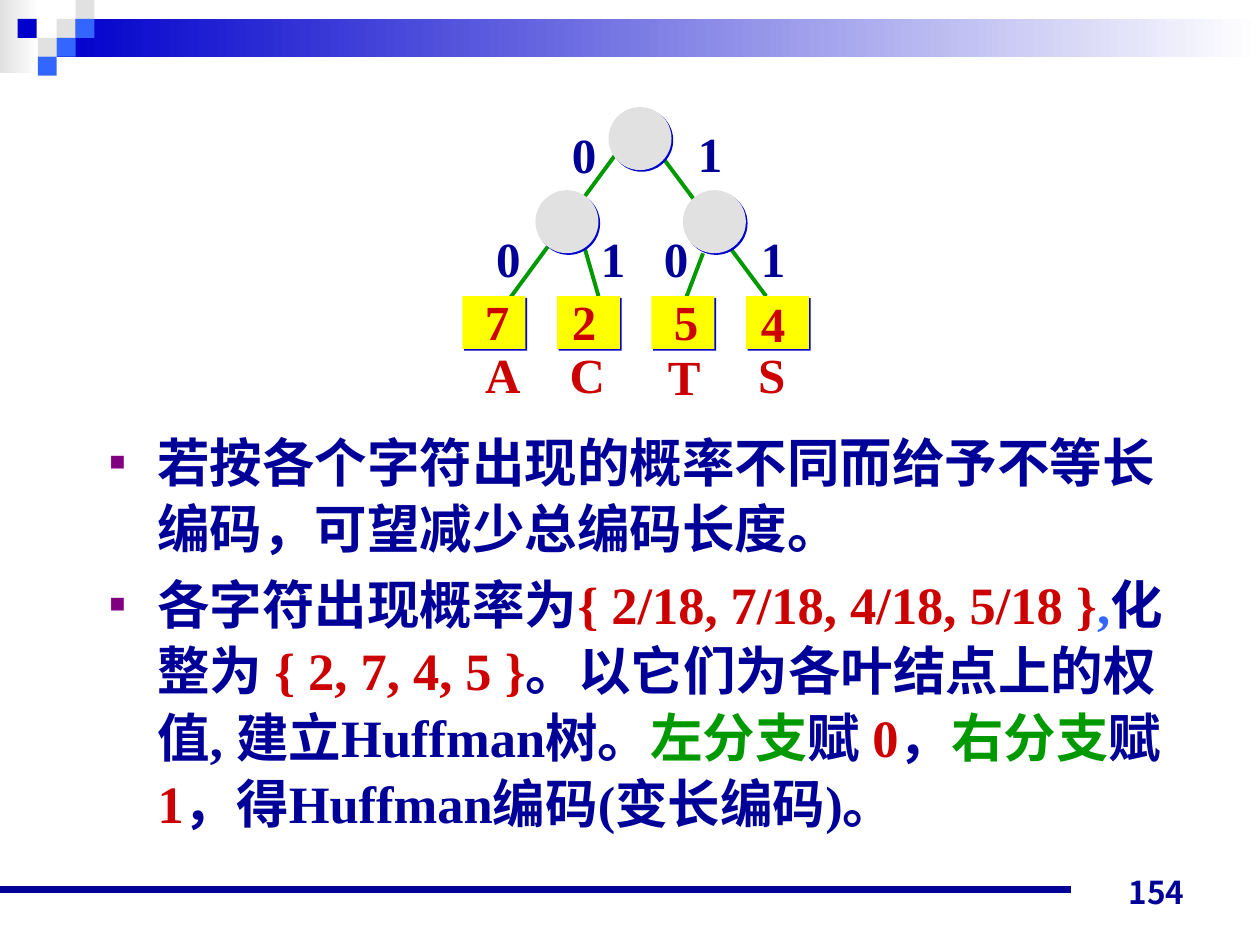
from lxml import etree
from pptx import Presentation
from pptx.dml.color import RGBColor
from pptx.enum.shapes import MSO_CONNECTOR, MSO_SHAPE
from pptx.enum.text import MSO_ANCHOR, MSO_AUTO_SIZE, PP_ALIGN
from pptx.oxml.ns import qn
from pptx.util import Pt

PX = 9144  # 100 px to the inch
RECT, OVAL = MSO_SHAPE.RECTANGLE, MSO_SHAPE.OVAL
LINE = MSO_CONNECTOR.STRAIGHT
MID, LOW, TOP = MSO_ANCHOR.MIDDLE, MSO_ANCHOR.BOTTOM, MSO_ANCHOR.TOP
MIDST, RIGHT = PP_ALIGN.CENTER, PP_ALIGN.RIGHT
FIXED = MSO_AUTO_SIZE.NONE
SERIF, SANS = "Times New Roman", "Noto Sans CJK JP"
HUES = {
    "navy": "000099", "blue": "0000CC", "sky": "3366FF", "gray": "E1E1E1",
    "white": "FFFFFF", "green": "009900", "red": "CC0000",
    "gold": "FFFF00", "plum": "800080",
}


def hue(name):
    return RGBColor.from_string(HUES[name])


def apply(obj, form):
    for key, value in form.items():
        setattr(obj, key, value)


def child(node, tag, **attrs):
    return etree.SubElement(node, qn("a:" + tag), attrs)


class Deck:
    """Holds the text style and the current slide."""

    def __init__(self, prs, font=SERIF, ink="navy"):
        self.font, self.ink = font, ink
        self.slide = prs.slides.add_slide(prs.slide_layouts[1])
        self.shapes = self.slide.shapes
        title = self.shapes.title.element
        title.getparent().remove(title)

    def run(self, par, text, size, ink=None, font=None):
        run = par.add_run()
        run.text = text
        apply(run.font, {"size": Pt(size), "bold": True, "name": font or self.font})
        run.font.color.rgb = hue(ink or self.ink)
        child(run.font._element, "ea", typeface=SANS)

    def block(self, kind, box, fill, drop=False):
        """Add a plain shape; a pair of colours makes a gradient."""
        shape = self.shapes.add_shape(kind, *(n * PX for n in box))
        shape.line.fill.background()
        shape.shadow.inherit = False
        if isinstance(fill, tuple):
            shape.fill.gradient()
            shape.fill.gradient_angle = 0
            for stop, spot, name in zip(shape.fill.gradient_stops, (0, 1), fill):
                stop.position = spot
                stop.color.rgb = hue(name)
        else:
            shape.fill.solid()
            shape.fill.fore_color.rgb = hue(fill)
        if drop:
            glow = child(shape._element.spPr.find(qn("a:effectLst")), "outerShdw",
                         blurRad="0", dist="17780", dir="2700000", algn="ctr", rotWithShape="0")
            child(glow, "srgbClr", val=HUES["blue"])

    def line(self, ends, ink, width):
        line = self.shapes.add_connector(LINE, *(n * PX for n in ends))
        line.line.color.rgb = hue(ink)
        line.line.width = Pt(width)
        child(line._element.spPr, "effectLst")

    def label(self, box, text, size=28, ink=None, font=None, side=MIDST, anchor=MID):
        frame = self.shapes.add_textbox(*(n * PX for n in box)).text_frame
        apply(frame, {"word_wrap": False, "auto_size": FIXED, "vertical_anchor": anchor})
        par = frame.paragraphs[0]
        par.alignment = side
        self.run(par, text, size, ink, font)

    def points(self, box, items, size):
        """Fill the body placeholder with square-bulleted items."""
        body = self.slide.placeholders[1]
        apply(body, dict(zip(("left", "top", "width", "height"), (n * PX for n in box))))
        frame = body.text_frame
        apply(frame, {"word_wrap": True, "auto_size": FIXED, "vertical_anchor": TOP})
        for i, parts in enumerate(items):
            par = frame.add_paragraph() if i else frame.paragraphs[0]
            apply(par, {"line_spacing": 1.05, "space_before": Pt(5.6)})
            props = par._p.get_or_add_pPr()
            props.set("marL", str(38 * PX))
            props.set("indent", str(-38 * PX))
            child(child(props, "buClr"), "srgbClr", val=HUES["plum"])
            child(props, "buSzPct", val="50000")
            child(props, "buFont", typeface=SERIF)
            child(props, "buChar", char="■")
            for text, ink in parts:
                self.run(par, text, size, ink)


BLOCKS = [  # corner squares of the header
    (45, 15, "gray"), (60, 0, "gray"), (60, 15, "sky"), (30, 30, "gray"),
    (14, 15, "blue"), (45, 30, "sky"), (30, 45, "sky"),
]
EDGES = [(558, 201, 542, 243), (508, 101, 608, 235), (458, 176, 475, 235), (492, 118, 400, 243)]
NODES = [(483, 85), (425, 151), (542, 151)]
LEAVES = [  # weight, its left and top; letter, its left, top and width
    ("7", 375, 226, "A", 375, 268, 48),
    ("2", 444, 226, "C", 442, 268, 48),
    ("5", 525, 226, "T", 520, 270, 46),
    ("4", 594, 228, "S", 592, 268, 41),
]
BITS = [("0", 444, 94), ("1", 544, 93), ("0", 384, 176), ("1", 467, 176),
        ("0", 517, 176), ("1", 594, 176)]
ITEMS = [
    [("若按各个字符出现的概率不同而给予不等长编码，可望减少总编码长度。", "navy")],
    [("各字符出现概率为", "navy"), ("{ 2/18, 7/18, 4/18, 5/18 }", "red"), (",", "sky"),
     ("化整为 ", "navy"), ("{ 2, 7, 4, 5 }", "red"),
     ("。以它们为各叶结点上的权值, 建立Huffman树。", "navy"),
     ("左分支", "green"), ("赋 ", "navy"), ("0", "red"), ("，", "navy"),
     ("右分支", "green"), ("赋 ", "navy"), ("1", "red"),
     ("，得Huffman编码(变长编码)。", "navy")],
]


def main():
    prs = Presentation()
    prs.slide_width, prs.slide_height = 1000 * PX, 750 * PX
    deck = Deck(prs)

    deck.block(RECT, (0, 0, 31, 58), ("gray", "white"))
    deck.block(RECT, (45, 15, 955, 30), ("blue", "white"))
    for x, y, fill in BLOCKS:
        deck.block(RECT, (x, y, 15, 15), fill)
    deck.line((0, 706, 850, 706), "navy", 4.5)
    deck.label((717, 678, 233, 50), "154", 18, font=SANS, side=RIGHT, anchor=LOW)
    deck.points((77, 334, 883, 333), ITEMS, 30)

    for ends in EDGES:
        deck.line(ends, "green", 2.25)
    for x, y in NODES:
        deck.block(OVAL, (x, y, 50, 50), "gray", drop=True)
    for i, (weight, x, y, char, left, top, wide) in enumerate(LEAVES):
        deck.block(RECT, (367 + 75 * i, 235, 50, 42), "gold", drop=True)
        deck.label((x, y, 39, 57), weight, ink="red")
        deck.label((left, top, wide, 57), char, ink="red")
    for bit, x, y in BITS:
        deck.label((x, y, 39, 57), bit)

    prs.save("out.pptx")


if __name__ == "__main__":
    main()
